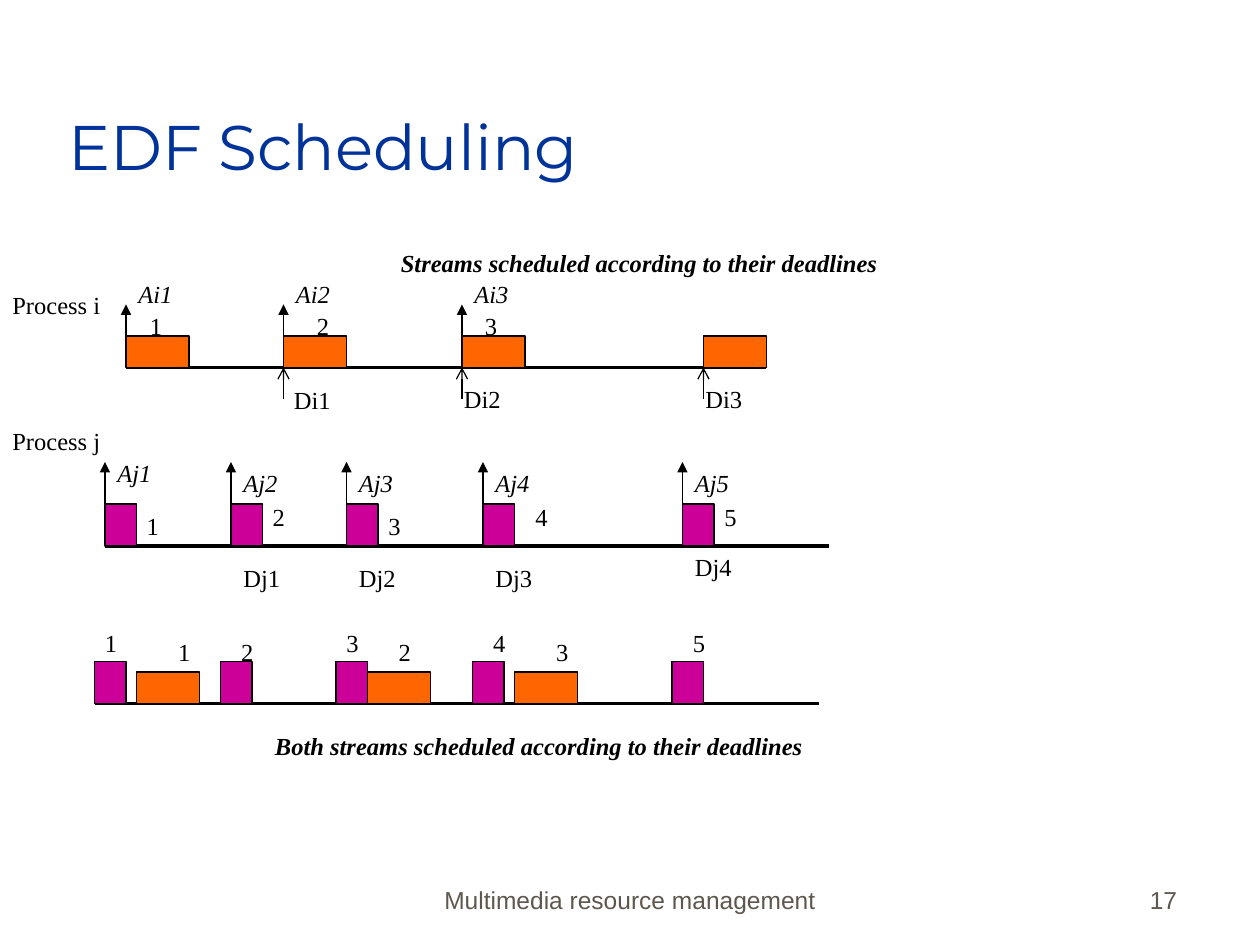
"""Builds the EDF scheduling slide: two periodic streams and their merged schedule."""
from lxml import etree
from pptx import Presentation
from pptx.dml.color import RGBColor
from pptx.enum.shapes import MSO_CONNECTOR, MSO_SHAPE
from pptx.enum.text import MSO_ANCHOR, MSO_AUTO_SIZE, PP_ALIGN
from pptx.oxml.ns import qn
from pptx.util import Cm, Pt

STRAIGHT, RECTANGLE = MSO_CONNECTOR.STRAIGHT, MSO_SHAPE.RECTANGLE
TOP, BOTTOM = MSO_ANCHOR.TOP, MSO_ANCHOR.BOTTOM
LEFT, CENTER, RIGHT = PP_ALIGN.LEFT, PP_ALIGN.CENTER, PP_ALIGN.RIGHT
NO_FIT = MSO_AUTO_SIZE.NONE

THEME = {
    "title": "003399", "ink": "000000", "footer": "5E574E",
    "job_i": "FF6600", "job_j": "CC0099",
    "title_font": "Montserrat", "body_font": "Times New Roman", "footer_font": "Arial",
    "title_size": 36, "body_size": 14, "axis_width": 2.25, "thin_width": 0.75,
}

GRID = 2.54 / 12
LABEL_HEIGHT = 4.1
WIDTHS = {"number": 3.6, "arrival": 5.6, "deadline": 5.9, "process": 10.8}
JOB_SIZES = {"job_i": (6, 3), "job_j": (3, 4)}

TITLE = ("EDF Scheduling", (5.3, 3, 102, 15))
CAPTIONS = [
    ("Streams scheduled according to their deadlines", (37, 23, 47.8, LABEL_HEIGHT)),
    ("Both streams scheduled according to their deadlines", (25, 69, 52.7, LABEL_HEIGHT)),
]
FOOTERS = [
    ("Multimedia resource management", (41, 81.7, 38, 6), CENTER),
    ("17", (88.3, 81.7, 25, 6), RIGHT),
]
TIMELINES = [
    {"axis": (12, 73, 35), "jobs": {"job_i": [12, 27, 44, 67]},
     "arrivals": [12, 27, 44], "arrival_height": 6, "deadlines": [27, 44, 67]},
    {"axis": (10, 79, 52), "jobs": {"job_j": [10, 22, 33, 46, 65]},
     "arrivals": [10, 22, 33, 46, 65], "arrival_height": 8, "deadlines": []},
    {"axis": (9, 78, 67), "jobs": {"job_j": [9, 21, 32, 45, 64], "job_i": [13, 35, 49]},
     "arrivals": [], "arrival_height": 0, "deadlines": []},
]
LABELS = {
    "process": [("Process i", 0, 27), ("Process j", 0, 40)],
    "arrival": [
        ("Ai1", 12, 26), ("Ai2", 27, 26), ("Ai3", 44, 26),
        ("Aj1", 10, 43), ("Aj2", 22, 44), ("Aj3", 33, 44), ("Aj4", 46, 44), ("Aj5", 65, 44),
    ],
    "deadline": [
        ("Di1", 26.8, 36.1), ("Di2", 43, 36), ("Di3", 66, 36),
        ("Dj1", 22, 53), ("Dj2", 33, 53), ("Dj3", 46, 53), ("Dj4", 65, 52),
    ],
    "number": [
        ("1", 13.1, 29), ("2", 29, 29), ("3", 45, 29),
        ("1", 12.8, 48.1), ("2", 24.8, 47.2), ("3", 35.8, 48.1), ("4", 49.8, 47.2), ("5", 67.8, 47.2),
        ("1", 8.8, 59.2), ("2", 21.8, 60.1), ("3", 31.8, 59.2), ("4", 45.8, 59.2), ("5", 64.8, 59.2),
        ("1", 15.8, 60.1), ("2", 36.8, 60.1), ("3", 51.8, 60.1),
    ],
}


def grid(*units):
    return [Cm(unit * GRID) for unit in units]


def color(role):
    return RGBColor.from_string(THEME[role])


def write(box, text, *, role="ink", font="body_font", size="body_size", bold=False,
          italic=False, align=LEFT, anchor=TOP, wrap=False):
    frame = box.text_frame
    frame.word_wrap = wrap
    frame.auto_size = NO_FIT
    frame.vertical_anchor = anchor
    paragraph = frame.paragraphs[0]
    paragraph.alignment = align
    run = paragraph.add_run()
    run.text = text
    run.font.name = THEME[font]
    run.font.size = Pt(THEME[size])
    run.font.bold, run.font.italic = bold, italic
    run.font.color.rgb = color(role)


def add_label(slide, text, place, **style):
    write(slide.shapes.add_textbox(*grid(*place)), text, **style)


def add_line(slide, start, end, width="thin_width", head=None):
    line = slide.shapes.add_connector(STRAIGHT, *grid(*start, *end))
    line.line.color.rgb = color("ink")
    line.line.width = Pt(THEME[width])
    if head:
        etree.SubElement(line.line._get_or_add_ln(), qn("a:tailEnd"), type=head)
    etree.SubElement(line._element.spPr, qn("a:effectLst"))


def add_job(slide, kind, left, baseline):
    width, height = JOB_SIZES[kind]
    job = slide.shapes.add_shape(RECTANGLE, *grid(left, baseline - height, width, height))
    job.shadow.inherit = False
    job.fill.solid()
    job.fill.fore_color.rgb = color(kind)
    job.line.color.rgb = color("ink")
    job.line.width = Pt(THEME["thin_width"])


def add_timeline(slide, timeline):
    start, end, baseline = timeline["axis"]
    add_line(slide, (start, baseline), (end, baseline), width="axis_width")
    for kind, lefts in timeline["jobs"].items():
        for left in lefts:
            add_job(slide, kind, left, baseline)
    for x in timeline["arrivals"]:
        add_line(slide, (x, baseline), (x, baseline - timeline["arrival_height"]), head="triangle")
    for x in timeline["deadlines"]:
        add_line(slide, (x, baseline + 3), (x, baseline), head="arrow")


def main():
    deck = Presentation()
    deck.slide_width, deck.slide_height = Cm(25.4), Cm(19.05)
    slide = deck.slides.add_slide(deck.slide_layouts[5])

    heading, place = TITLE
    title = slide.shapes.title
    title.left, title.top, title.width, title.height = grid(*place)
    write(title, heading, role="title", font="title_font", size="title_size",
          anchor=BOTTOM, wrap=True)

    for timeline in TIMELINES:
        add_timeline(slide, timeline)
    for kind, labels in LABELS.items():
        for text, left, top in labels:
            add_label(slide, text, (left, top, WIDTHS[kind], LABEL_HEIGHT),
                      italic=kind == "arrival")
    for text, place in CAPTIONS:
        add_label(slide, text, place, bold=True, italic=True)
    for text, place, align in FOOTERS:
        add_label(slide, text, place, role="footer", font="footer_font",
                  align=align, anchor=BOTTOM, wrap=True)

    deck.save("out.pptx")


if __name__ == "__main__":
    main()
